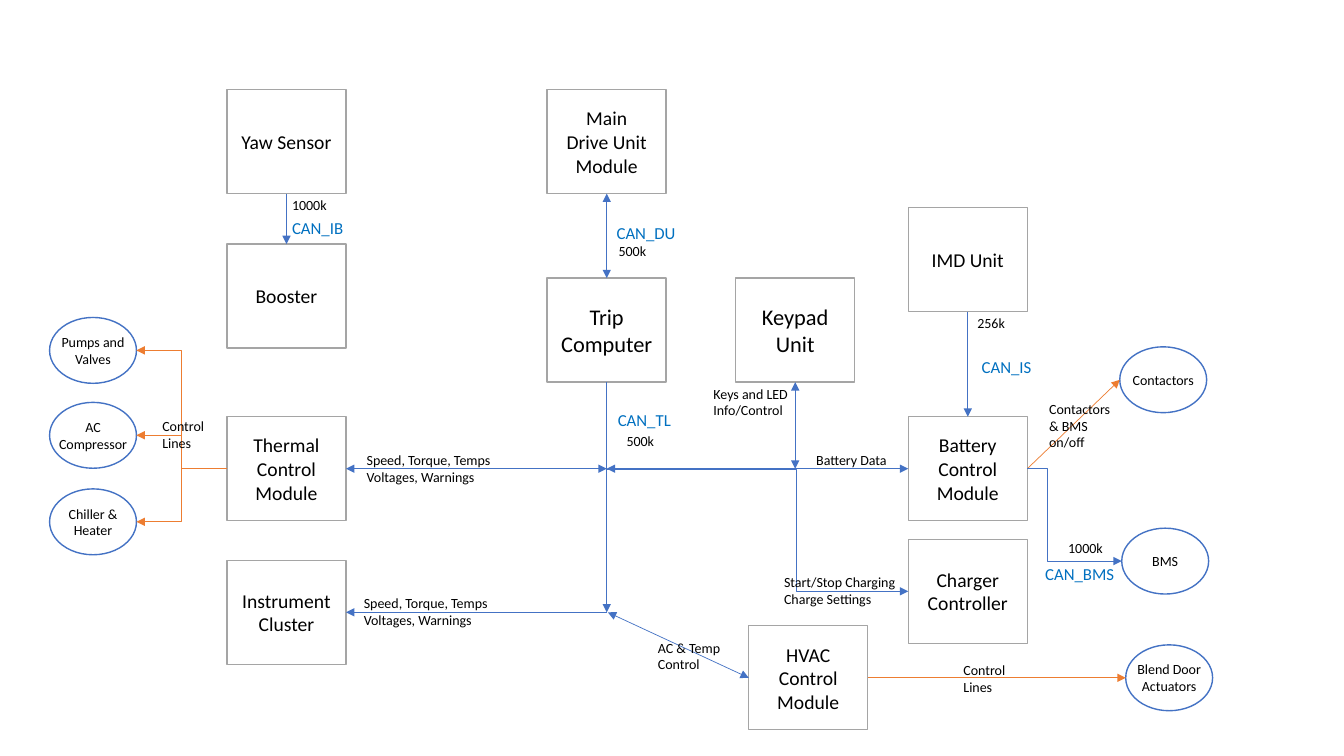
from dataclasses import dataclass

from lxml import etree
from pptx import Presentation
from pptx import util as u
from pptx.dml import color
from pptx.enum import shapes, text
from pptx.oxml import ns

COLOURS = {"white": "FFFFFF", "black": "000000", "frame": "A5A5A5",
           "bus": "4472C4", "control": "ED7D31", "can": "0070C0"}
FONT = "Calibri"
MODULE_WIDTH, MODULE_HEIGHT = 3.0, 2.62
ACTUATOR_WIDTH, ACTUATOR_HEIGHT = 2.19, 1.66
TOP, LEFT, BOTTOM, RIGHT = range(4)
SIDE_OFFSETS = {TOP: (0.5, 0), LEFT: (0, 0.5), BOTTOM: (0.5, 1), RIGHT: (1, 0.5)}


def rgb(name):
    return color.RGBColor.from_string(COLOURS[name])


def add_child(parent, tag, **attributes):
    return etree.SubElement(parent, ns.qn(tag), **attributes)


def write(frame, lines, size, colour="black", align=text.PP_ALIGN.LEFT):
    frame.text = "\n".join(lines)
    for paragraph in frame.paragraphs:
        paragraph.alignment = align
        paragraph.font.name = FONT
        paragraph.font.size = u.Pt(size)
        paragraph.font.color.rgb = rgb(colour)


@dataclass
class Side:
    shape: object
    index: int

    def point(self):
        across, down = SIDE_OFFSETS[self.index]
        return (int(self.shape.left + across * self.shape.width),
                int(self.shape.top + down * self.shape.height))

    def joinable(self):
        return self.shape.auto_shape_type == shapes.MSO_SHAPE.RECTANGLE


@dataclass
class Region:
    slide: object
    left: float
    top: float

    def position(self, x, y):
        return u.Cm(self.left + x), u.Cm(self.top + y)

    def node(self, kind, x, y, width, height, lines, size, line_colour):
        shape = self.slide.shapes.add_shape(
            kind, *self.position(x, y), u.Cm(width), u.Cm(height))
        shape.shadow.inherit = False
        shape.fill.solid()
        shape.fill.fore_color.rgb = rgb("white")
        shape.line.color.rgb = rgb(line_colour)
        shape.line.width = u.Pt(1)
        shape.text_frame.vertical_anchor = text.MSO_ANCHOR.MIDDLE
        write(shape.text_frame, lines, size, align=text.PP_ALIGN.CENTER)
        return shape

    def module(self, x, y, *lines, size=14):
        return self.node(shapes.MSO_SHAPE.RECTANGLE, x, y, MODULE_WIDTH,
                         MODULE_HEIGHT, lines, size, "frame")

    def actuator(self, x, y, *lines):
        shape = self.node(shapes.MSO_SHAPE.OVAL, x, y, ACTUATOR_WIDTH,
                          ACTUATOR_HEIGHT, lines, 10, "bus")
        frame = shape.text_frame
        frame.word_wrap = False
        frame.margin_left = frame.margin_right = 0
        frame.margin_top = frame.margin_bottom = 0
        return shape

    def label(self, x, y, width, *lines, size=10, colour="black", wrap=False):
        rows = len(lines) + wrap
        box = self.slide.shapes.add_textbox(
            *self.position(x, y), u.Cm(width), u.Cm(0.25 + 0.043 * size * rows))
        box.text_frame.word_wrap = wrap
        box.text_frame.auto_size = text.MSO_AUTO_SIZE.SHAPE_TO_FIT_TEXT
        write(box.text_frame, lines, size, colour)

    def can_label(self, x, y, width, name):
        self.label(x, y, width, name, size=12, colour="can")

    def link(self, start, end, colour="bus", both=False, bend=None):
        points = [stop.point() if isinstance(stop, Side) else self.position(*stop)
                  for stop in (start, end)]
        kind = shapes.MSO_CONNECTOR.ELBOW if bend else shapes.MSO_CONNECTOR.STRAIGHT
        connector = self.slide.shapes.add_connector(kind, *points[0], *points[1])
        if bend:
            guides = connector.element.spPr.find(ns.qn("a:prstGeom")).get_or_add_avLst()
            add_child(guides, "a:gd", name="adj1", fmla=f"val {round(bend * 100000)}")
        else:
            for stop, join in ((start, connector.begin_connect),
                               (end, connector.end_connect)):
                if isinstance(stop, Side) and stop.joinable():
                    join(stop.shape, stop.index)
        connector.line.color.rgb = rgb(colour)
        connector.line.width = u.Pt(0.5)
        line = connector.element.spPr.find(ns.qn("a:ln"))
        if both:
            add_child(line, "a:headEnd", type="triangle")
        add_child(line, "a:tailEnd", type="triangle")
        add_child(connector.element.spPr, "a:effectLst")


def draw_brakes(region):
    yaw_sensor = region.module(0, 0, "Yaw Sensor")
    booster = region.module(0, 3.89, "Booster")
    region.link(Side(yaw_sensor, BOTTOM), Side(booster, TOP))
    region.label(1.39, 2.57, 1.4, "1000k")
    region.can_label(1.39, 3.1, 1.83, "CAN_IB")


def draw_drive(region):
    drive_unit = region.module(0, 0, "Main", "Drive Unit Module")
    trip_computer = region.module(0, 4.75, "Trip Computer", size=16)
    region.link(Side(drive_unit, BOTTOM), Side(trip_computer, TOP), both=True)
    region.can_label(1.5, 3.23, 2.01, "CAN_DU")
    region.label(1.55, 3.73, 1.22, "500k")
    region.can_label(1.53, 7.95, 1.85, "CAN_TL")
    region.label(1.75, 8.51, 1.22, "500k")
    return trip_computer


def draw_thermal(region):
    thermal = region.module(4.47, 2.5, "Thermal", "Control", "Module")
    for y, lines in ((0, ("Pumps and", "Valves")),
                     (2.14, ("AC", "Compressor")),
                     (4.32, ("Chiller &", "Heater"))):
        actuator = region.actuator(0, y, *lines)
        region.link(Side(thermal, LEFT), Side(actuator, RIGHT), "control", bend=0.5)
    region.label(2.59, 2.39, 2.19, "Control Lines", wrap=True)
    return thermal


def draw_battery(region):
    monitor = region.module(0, 0, "IMD Unit")
    battery = region.module(0, 5.27, "Battery", "Control", "Module")
    charger = region.module(0, 8.36, "Charger", "Controller")
    contactors = region.actuator(5.33, 3.51, "Contactors")
    bms = region.actuator(5.38, 8.08, "BMS")
    region.link(Side(monitor, BOTTOM), Side(battery, TOP))
    region.link(Side(battery, RIGHT), Side(contactors, LEFT), "control")
    region.link(Side(battery, RIGHT), Side(bms, LEFT), bend=0.21)
    region.label(1.49, 2.57, 1.22, "256k")
    region.can_label(1.6, 3.63, 1.78, "CAN_IS")
    region.label(3.3, 4.73, 2.19, "Contactors", "& BMS on/off", wrap=True)
    region.label(3.78, 8.23, 1.4, "1000k")
    region.can_label(3.2, 8.84, 2.26, "CAN_BMS")
    return battery, charger


def draw_keypad(region):
    keypad = region.module(0, 0, "Keypad", "Unit", size=16)
    region.link(Side(keypad, BOTTOM), (1.5, 4.8), both=True)
    region.label(-0.81, 2.57, 2.41, "Keys and LED", "Info/Control")


def draw_hvac(region):
    hvac = region.module(0, 0, "HVAC", "Control", "Module")
    blend_door = region.actuator(9.5, 0.48, "Blend Door", "Actuators")
    region.link(Side(hvac, RIGHT), Side(blend_door, LEFT), "control")
    region.label(5.16, 0.77, 2.19, "Control Lines", wrap=True)
    return hvac


def draw_bus(region, trip_computer, thermal, instruments, battery, charger, hvac):
    joint, low_joint = (0, 0), (0, 3.62)
    region.link(Side(trip_computer, BOTTOM), low_joint)
    region.link(low_joint, Side(instruments, RIGHT))
    region.link(Side(thermal, RIGHT), joint, both=True)
    region.link(Side(battery, LEFT), joint, both=True)
    region.link((0, 0.03), Side(charger, LEFT), bend=0.63)
    region.link(Side(hvac, LEFT), (0.03, 3.62), both=True)
    for x, y in ((-6.3, -0.56), (-6.37, 3.05)):
        region.label(x, y, 3.73, "Speed, Torque, Temps", "Voltages, Warnings")
    region.label(5.03, -0.56, 2.34, "Battery Data")
    region.label(4.22, 2.52, 3.38, "Start/Stop Charging", "Charge Settings")
    region.label(1.04, 4.17, 2.13, "AC & Temp", "Control")


def main():
    presentation = Presentation()
    presentation.slide_width, presentation.slide_height = u.Cm(33.87), u.Cm(19.05)
    slide = presentation.slides.add_slide(presentation.slide_layouts[6])
    draw_brakes(Region(slide, 5.72, 2.26))
    trip_computer = draw_drive(Region(slide, 13.79, 2.26))
    thermal = draw_thermal(Region(slide, 1.25, 8))
    instruments = Region(slide, 5.72, 14.12).module(0, 0, "Instrument", "Cluster")
    battery, charger = draw_battery(Region(slide, 22.89, 5.23))
    draw_keypad(Region(slide, 18.54, 7.01))
    hvac = draw_hvac(Region(slide, 18.87, 15.77))
    draw_bus(Region(slide, 15.29, 11.81), trip_computer, thermal, instruments,
             battery, charger, hvac)
    presentation.save("out.pptx")


if __name__ == "__main__":
    main()
